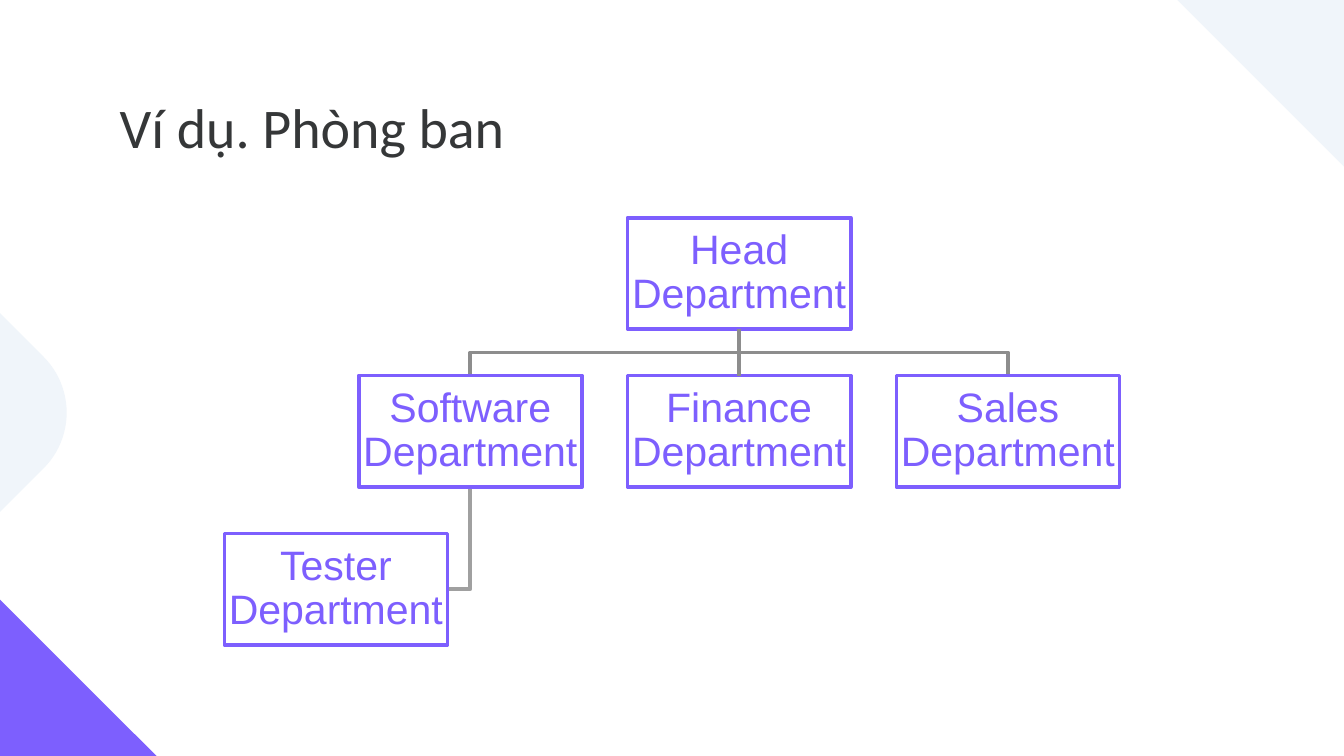
import pptx
import pptx.dml.color
import pptx.enum.shapes
import pptx.enum.text
import pptx.oxml
import pptx.oxml.ns
import pptx.util

Inches = pptx.util.Inches
Pt = pptx.util.Pt
RGBColor = pptx.dml.color.RGBColor
MSO_SHAPE = pptx.enum.shapes.MSO_SHAPE
MSO_ANCHOR = pptx.enum.text.MSO_ANCHOR
PP_ALIGN = pptx.enum.text.PP_ALIGN

PURPLE = RGBColor(0x7D, 0x5F, 0xFE)
PALE = RGBColor(0xF0, 0xF5, 0xFA)
DARK = RGBColor(0x35, 0x37, 0x38)
GREY = RGBColor(0x8D, 0x8D, 0x8D)
LIGHT_GREY = RGBColor(0xA0, 0xA0, 0xA0)

# Slide size (16:9) and chart grid, in inches
SLIDE_W, SLIDE_H = 10, 10 * 9 / 16
LEFT, TOP = 2.67, 1.62
COL_STEP, ROW_STEP = 2, 2.35 / 2
BOX_W, BOX_H = 1.66, 0.83

# Department: (column, row)
DEPARTMENTS = {
    "Head": (1, 0),
    "Software": (0, 1),
    "Tester": (-0.5, 2),
    "Finance": (1, 1),
    "Sales": (2, 1),
}


def set_attrs(obj, values):
    for name, value in values.items():
        setattr(obj, name, value)


def box_origin(name):
    col, row = DEPARTMENTS[name]
    return LEFT + col * COL_STEP, TOP + row * ROW_STEP


def style_line(sp, color):
    sp.line.color.rgb = color
    sp.line.width = Pt(2)


def add_diamond(s, x, y, color):
    """A rounded square turned onto its corner."""
    side = Inches(3.52)
    sp = s.shapes.add_shape(MSO_SHAPE.ROUNDED_RECTANGLE, Inches(x), Inches(y), side, side)
    sp.rotation = 315
    sp.shadow.inherit = False
    sp.fill.solid()
    sp.fill.fore_color.rgb = color
    sp.line.fill.background()


def add_title(s, text):
    sp = s.shapes.title
    set_attrs(sp, dict(left=Inches(0.79), top=Inches(0.59),
                       width=Inches(8.43), height=Inches(0.69)))
    tf = sp.text_frame
    inset = Inches(0.1)
    set_attrs(tf, dict(auto_size=pptx.enum.text.MSO_AUTO_SIZE.NONE,
                       vertical_anchor=MSO_ANCHOR.TOP,
                       margin_left=inset, margin_right=inset,
                       margin_top=inset, margin_bottom=inset))
    p = tf.paragraphs[0]
    p.alignment = PP_ALIGN.LEFT
    r = p.add_run()
    r.text = text
    set_attrs(r.font, dict(name="Calibri", size=Pt(30)))
    r.font.color.rgb = DARK


def add_box(s, name):
    x, y = box_origin(name)
    sp = s.shapes.add_shape(MSO_SHAPE.RECTANGLE, Inches(x), Inches(y),
                            Inches(BOX_W), Inches(BOX_H))
    sp.shadow.inherit = False
    sp.fill.background()
    style_line(sp, PURPLE)
    tf = sp.text_frame
    inset = Inches(0.02)
    set_attrs(tf, dict(word_wrap=True, vertical_anchor=MSO_ANCHOR.MIDDLE,
                       margin_left=inset, margin_right=inset,
                       margin_top=inset, margin_bottom=inset))
    p = tf.paragraphs[0]
    set_attrs(p, dict(alignment=PP_ALIGN.CENTER, line_spacing=0.9))
    r = p.add_run()
    r.text = f"{name} Department"
    set_attrs(r.font, dict(name="Arial", size=Pt(22)))
    r.font.color.rgb = PURPLE
    return sp


def add_route(s, points, color):
    """An open bent line through the given points."""
    start, *rest = [(Inches(x), Inches(y)) for x, y in points]
    builder = s.shapes.build_freeform(*start, scale=1.0)
    builder.add_line_segments(rest, close=False)
    sp = builder.convert_to_shape()
    sp.shadow.inherit = False
    sp.fill.background()
    style_line(sp, color)


def add_branch(s, parent, child):
    """From the parent's bottom, across halfway, to the child's top."""
    (px, py), (cx, cy) = box_origin(parent), box_origin(child)
    px, cx, py = px + BOX_W / 2, cx + BOX_W / 2, py + BOX_H
    mid = (py + cy) / 2
    add_route(s, [(px, py), (px, mid), (cx, mid), (cx, cy)], GREY)


def add_side_branch(s, parent, child):
    """From the parent's bottom down to the child's right side."""
    (px, py), (cx, cy) = box_origin(parent), box_origin(child)
    px, cy = px + BOX_W / 2, cy + BOX_H / 2
    add_route(s, [(px, py + BOX_H), (px, cy), (cx + BOX_W, cy)], LIGHT_GREY)


def add_straight(s, parent, child):
    line = s.shapes.add_connector(pptx.enum.shapes.MSO_CONNECTOR.STRAIGHT, 0, 0, 0, 0)
    line.begin_connect(parent, 2)
    line.end_connect(child, 0)
    style_line(line, GREY)
    line._element.spPr.append(pptx.oxml.parse_xml(
        f"<a:effectLst {pptx.oxml.ns.nsdecls('a')}/>"))


def main():
    prs = pptx.Presentation()
    set_attrs(prs, dict(slide_width=Inches(SLIDE_W), slide_height=Inches(SLIDE_H)))
    s = prs.slides.add_slide(prs.slide_layouts[5])

    # Corner and edge decoration
    add_diamond(s, 8.95, -2.3, PALE)
    add_diamond(s, -3.51, 1.31, PALE)
    add_diamond(s, -2.34, 4.61, PURPLE)

    add_title(s, "Ví dụ. Phòng ban")

    # Organisation chart: bent lines, boxes, then the straight line
    add_branch(s, "Head", "Sales")
    add_side_branch(s, "Software", "Tester")
    add_branch(s, "Head", "Software")
    boxes = {name: add_box(s, name) for name in DEPARTMENTS}
    add_straight(s, boxes["Head"], boxes["Finance"])

    prs.save("out.pptx")


if __name__ == "__main__":
    main()
